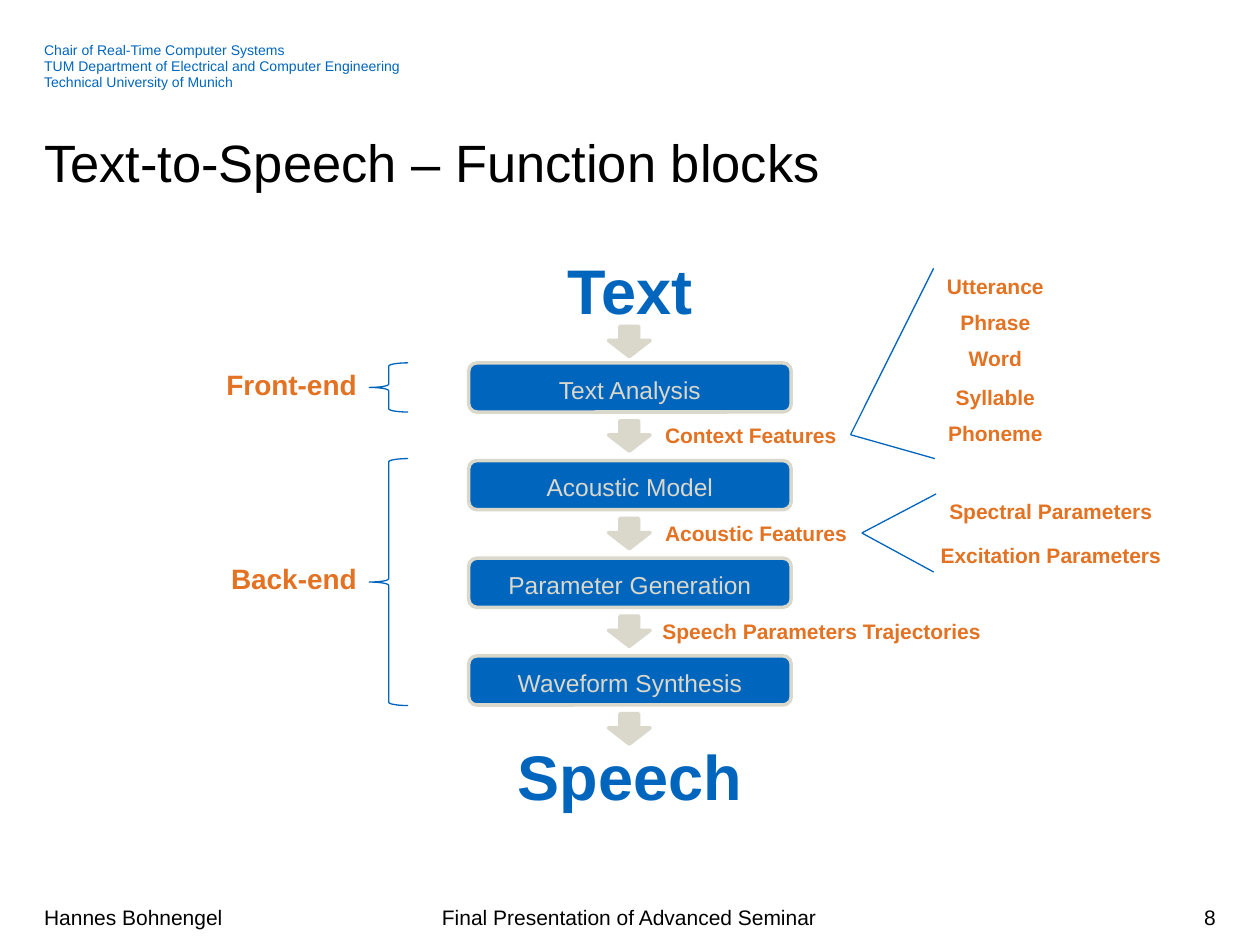
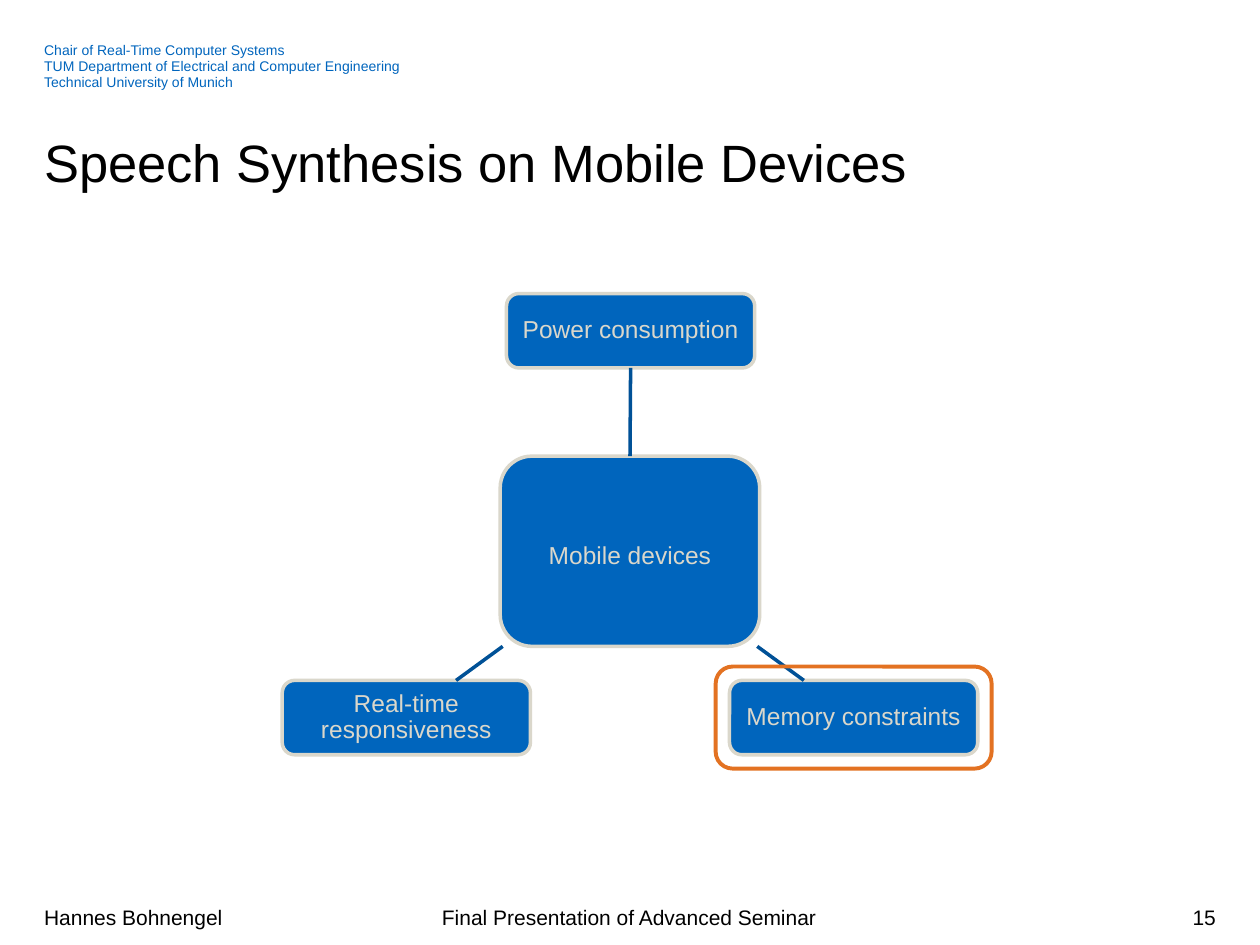
from dataclasses import dataclass

from lxml.etree import SubElement
from pptx import Presentation
from pptx.dml.color import RGBColor
from pptx.enum.shapes import MSO_CONNECTOR, MSO_SHAPE
from pptx.enum.text import MSO_ANCHOR, PP_ALIGN
from pptx.oxml.ns import qn
from pptx.util import Inches, Pt


@dataclass(frozen=True)
class Theme:
    font: str = "Arial"
    blue: str = "0065BD"
    dark_blue: str = "005197"
    sand: str = "DAD7CB"
    orange: str = "E37222"
    black: str = "000000"
    header_size: int = 8
    body_size: int = 12
    block_size: int = 14
    stage_size: int = 16
    title_size: int = 30
    endpoint_size: int = 36
    thin: float = 0.75
    thick: float = 2
    highlight: float = 2.25


T = Theme()
HEADER = """Chair of Real-Time Computer Systems
TUM Department of Electrical and Computer Engineering
Technical University of Munich"""
LEFT, CENTER, RIGHT = PP_ALIGN.LEFT, PP_ALIGN.CENTER, PP_ALIGN.RIGHT
TOP, MIDDLE = MSO_ANCHOR.TOP, MSO_ANCHOR.MIDDLE


# Basic elements
def write(sp, text, size=T.body_size, color=T.black, bold=False, align=LEFT,
          anchor=MIDDLE, spacing=None, insets=(0.1, 0.05), wrap=True):
    """Fill a shape with text, one paragraph a line."""
    tf = sp.text_frame
    tf.word_wrap = wrap
    tf.vertical_anchor = anchor
    tf.margin_left = tf.margin_right = Inches(insets[0])
    tf.margin_top = tf.margin_bottom = Inches(insets[1])
    for i, line in enumerate(text.split("\n")):
        p = tf.add_paragraph() if i else tf.paragraphs[0]
        p.alignment = align
        if spacing:
            p.line_spacing = spacing
        r = p.add_run()
        r.text = line
        r.font.name = T.font
        r.font.size = Pt(size)
        r.font.bold = bold
        r.font.color.rgb = RGBColor.from_string(color)


def add_text(s, box, text, **fmt):
    sp = s.shapes.add_textbox(*map(Inches, box))
    write(sp, text, **fmt)
    return sp


def add_label(s, box, text, **fmt):
    return add_text(s, box, text, **{"color": T.orange, "bold": True, "wrap": False, **fmt})


def add_figure(s, kind, box, line, width, fill=None):
    sp = s.shapes.add_shape(kind, *map(Inches, box))
    sp.shadow.inherit = False
    if fill:
        sp.fill.solid()
        sp.fill.fore_color.rgb = RGBColor.from_string(fill)
    else:
        sp.fill.background()
    sp.line.color.rgb = RGBColor.from_string(line)
    sp.line.width = Pt(width)
    return sp


def add_block(s, box, text, **fmt):
    sp = add_figure(s, MSO_SHAPE.ROUNDED_RECTANGLE, box, T.sand, T.thick, T.blue)
    write(sp, text, size=T.block_size, color=T.sand, align=CENTER, **fmt)
    return sp


def add_down_arrow(s, top):
    sp = add_figure(s, MSO_SHAPE.DOWN_ARROW, (4.83, top, 0.33, 0.24), T.sand, T.thick, T.sand)
    sp.adjustments[0] = 0.45
    sp.adjustments[1] = 0.53


def add_line(s, start, end, color=T.blue, width=T.thin):
    cx = s.shapes.add_connector(MSO_CONNECTOR.STRAIGHT, *map(Inches, (*start, *end)))
    cx.line.color.rgb = RGBColor.from_string(color)
    cx.line.width = Pt(width)
    SubElement(cx._element.spPr, qn("a:effectLst"))
    return cx


# Shared frame of every slide
def add_slide(prs, title, number):
    s = prs.slides.add_slide(prs.slide_layouts[6])
    add_text(s, (0.35, 0.34, 8.42, 0.38), HEADER, size=T.header_size, color=T.blue,
             anchor=TOP, spacing=0.94, insets=(0, 0))
    add_text(s, (0.35, 1.09, 9.31, 0.45), title, size=T.title_size, anchor=TOP,
             spacing=Pt(32), insets=(0, 0))
    for left, width, text, align in (
        (0.35, 1.59, "Hannes Bohnengel", LEFT),
        (3.33, 3.33, "Final Presentation of Advanced Seminar", CENTER),
        (7.41, 2.24, str(number), RIGHT),
    ):
        add_text(s, (left, 7.08, width, 0.4), text, align=align, insets=(0, 0.05))
    return s


# Feature label with two rays opening towards its details
def add_feature(s, box, text, ray_ends, center, details):
    label = add_label(s, box, text)
    start = (box[0] + box[2], box[1] + box[3] / 2)
    for end in ray_ends:
        add_line(s, start, end).begin_connect(label, 3)
    for top, detail in details:
        add_label(s, (center - 1, top, 2, 0.3), detail, align=CENTER)


def build_function_blocks(prs):
    s = add_slide(prs, "Text-to-Speech – Function blocks", 8)

    # Processing chain
    first, pitch, height = 2.88, 0.775, 0.39
    add_down_arrow(s, 2.59)
    for i, step in enumerate(("Text Analysis", "Acoustic Model",
                              "Parameter Generation", "Waveform Synthesis")):
        top = first + i * pitch
        add_block(s, (3.72, top, 2.56, height), step, spacing=1.14)
        add_down_arrow(s, top + height + 0.07)
    for top, text in ((1.95, "Text"), (5.8, "Speech")):
        add_label(s, (4, top, 2, 0.71), text, size=T.endpoint_size, color=T.blue,
                  align=CENTER, anchor=TOP)

    # Stages of the system
    for text, label_top, brace_top, brace_height in (
        ("Front-end", 2.87, 2.88, 0.39), ("Back-end", 4.41, 3.64, 1.96),
    ):
        add_label(s, (1.68, label_top, 1.25, 0.37), text, size=T.stage_size,
                  align=RIGHT, anchor=TOP)
        add_figure(s, MSO_SHAPE.LEFT_BRACE, (2.93, brace_top, 0.31, brace_height),
                   T.blue, T.thin)

    # Data passed between the steps
    add_feature(s, (5.18, 3.3, 1.57, 0.3), "Context Features",
                ((7.41, 2.13), (7.42, 3.64)), 7.9,
                ((2.12, "Utterance"), (2.41, "Phrase"), (2.69, "Word"),
                 (3, "Syllable"), (3.29, "Phoneme")))
    add_feature(s, (5.18, 4.08, 1.66, 0.3), "Acoustic Features",
                ((7.43, 3.92), (7.41, 4.54)), 8.34,
                ((3.91, "Spectral Parameters"), (4.26, "Excitation Parameters")))
    add_label(s, (5.16, 4.86, 2.83, 0.3), "Speech Parameters Trajectories")


def build_mobile_devices(prs):
    s = add_slide(prs, "Speech Synthesis on Mobile Devices", 15)

    # Hub and its three demands
    insets = (0.07, 0.07)
    hub = add_block(s, (3.97, 3.62, 2.06, 1.51), "Mobile devices", spacing=1.25, insets=insets)
    power, _, _ = [
        add_block(s, (left, top, 1.97, 0.59), text, spacing=0.9, insets=insets)
        for left, top, text in ((4.02, 2.33, "Power consumption"),
                                (5.79, 5.4, "Memory constraints"),
                                (2.24, 5.4, "Real-time responsiveness"))
    ]

    # Spokes
    spoke = add_line(s, (5, 3.62), (5, 2.92), T.dark_blue, T.thick)
    spoke.begin_connect(hub, 0)
    spoke.end_connect(power, 2)
    for side in (-1, 1):
        add_line(s, (5 + side * 1.01, 5.13), (5 + side * 1.38, 5.4), T.dark_blue, T.thick)

    # Highlight around the memory constraints
    add_figure(s, MSO_SHAPE.ROUNDED_RECTANGLE, (5.68, 5.29, 2.19, 0.81), T.orange, T.highlight)


def main():
    prs = Presentation()
    prs.slide_width, prs.slide_height = Inches(10), Inches(7.5)
    build_function_blocks(prs)
    build_mobile_devices(prs)
    prs.save("out.pptx")


if __name__ == "__main__":
    main()
